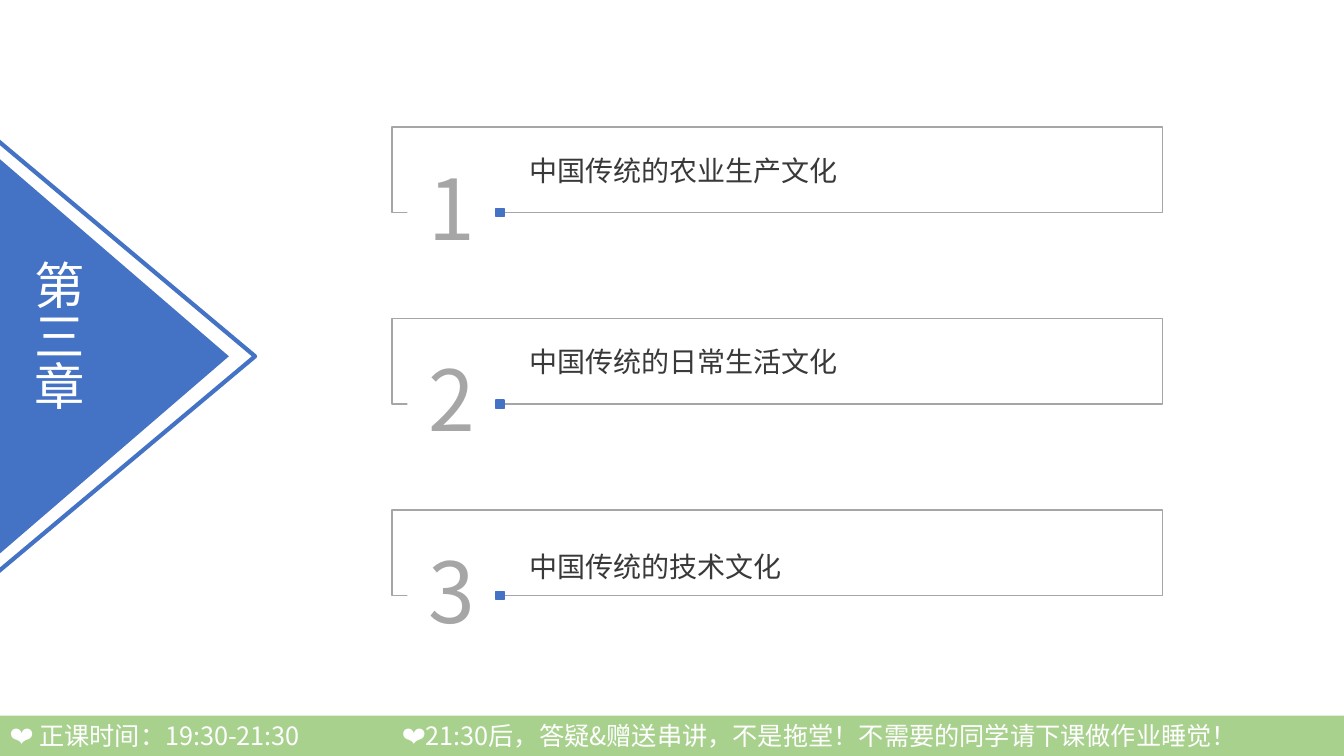
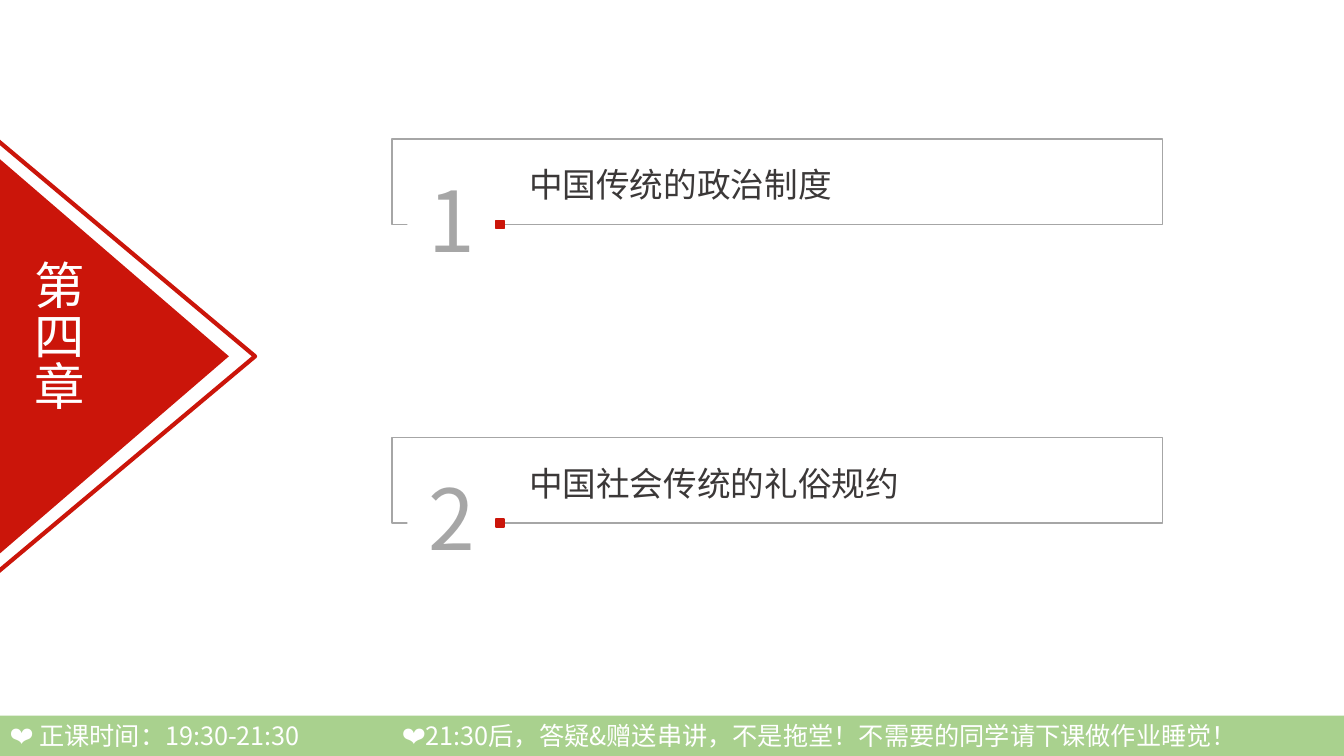
from lxml import etree
from pptx import Presentation
from pptx.dml.color import RGBColor
from pptx.enum import shapes, text
from pptx.oxml import ns
from pptx.util import Inches, Pt

BLUE, RED = "4472C4", "CB150A"
BAND, GREY, INK, WHITE = "A9D18E", "A6A6A6", "3B3838", "FFFFFF"
BODY_FONT, BAND_FONT = "Noto Sans CJK SC", "Noto Sans CJK JP"
SLIDE_WIDTH, SLIDE_HEIGHT, BAND_HEIGHT = 13.33, 7.5, 0.4
ROW_LEFT, ROW_WIDTH, ROW_HEIGHT = 3.89, 7.64, 0.85

CHAPTERS = [
    dict(title="第三章", colour=BLUE, first_top=1.26, pitch=1.9, size=20,
         headings=[("中国传统的农业生产文化", 0), ("中国传统的日常生活文化", 0),
                   ("中国传统的技术文化", 0.13)]),
    dict(title="第四章", colour=RED, first_top=1.38, pitch=2.96, size=24,
         headings=[("中国传统的政治制度", 0), ("中国社会传统的礼俗规约", 0)]),
]


def rgb(colour):
    return RGBColor.from_string(colour)


def add_box(parent, kind, box, fill=None, line=None, weight=1):
    shape = parent.shapes.add_shape(kind, *map(Inches, box))
    shape.shadow.inherit = False
    if fill:
        shape.fill.solid()
        shape.fill.fore_color.rgb = rgb(fill)
    else:
        shape.fill.background()
    if line:
        shape.line.color.rgb = rgb(line)
        shape.line.width = Pt(weight)
    else:
        shape.line.fill.background()
    return shape


def write(shape, words, size, colour, align, anchor, font=BODY_FONT, wrap=True):
    frame = shape.text_frame
    frame.text = words
    frame.word_wrap = wrap
    frame.auto_size = text.MSO_AUTO_SIZE.NONE
    frame.vertical_anchor = anchor
    para = frame.paragraphs[0]
    para.alignment = align
    para.font.size = Pt(size)
    para.font.color.rgb = rgb(colour)
    para.font.name = font
    defaults = para._p.pPr.find(ns.qn("a:defRPr"))
    etree.SubElement(defaults, ns.qn("a:ea"), typeface=font)
    return para


def add_band(layout, page):
    box = (0, SLIDE_HEIGHT - BAND_HEIGHT, SLIDE_WIDTH, BAND_HEIGHT)
    band = add_box(page, shapes.MSO_SHAPE.RECTANGLE, box, BAND)
    para = write(band, "❤ 正课时间：19:30-21:30\t❤21:30后，答疑&赠送串讲，不是拖堂！不需要的同学请下课做作业睡觉！",
                 18, WHITE, text.PP_ALIGN.LEFT, text.MSO_ANCHOR.MIDDLE, BAND_FONT)
    stops = etree.Element(ns.qn("a:tabLst"))
    etree.SubElement(stops, ns.qn("a:tab"), pos=str(Inches(3.89)), algn="l")
    para._p.pPr.find(ns.qn("a:defRPr")).addprevious(stops)
    band.element.nvSpPr.cNvPr.set("id", "20")
    layout.shapes.element.append(band.element)


def add_pointer(page, left, middle, width, height, **style):
    box = (left + (width - height) / 2, middle - width / 2, height, width)
    triangle = add_box(page, shapes.MSO_SHAPE.ISOSCELES_TRIANGLE, box, **style)
    triangle.rotation = 90


def add_chapter_mark(page, words, colour, middle=3.535):
    add_pointer(page, 0, middle, 2.27, 3.91, fill=colour)
    title = page.shapes.title
    title.left, title.top = Inches(0.17), Inches(middle - 1)
    title.width, title.height = Inches(0.81), Inches(1.7)
    write(title, words, 36, WHITE, text.PP_ALIGN.CENTER, text.MSO_ANCHOR.MIDDLE)
    title.text_frame._txBody.bodyPr.set("vert", "eaVert")
    page.shapes.element.append(title.element)
    add_pointer(page, -0.04, middle, 2.57, 4.31, line=colour, weight=3)


def add_row(page, left, top, number, heading, drop, size, colour):
    rectangle = shapes.MSO_SHAPE.RECTANGLE
    group = page.shapes.add_group_shape()
    add_box(group, rectangle, (left, top, ROW_WIDTH, ROW_HEIGHT), line=GREY)
    digit = add_box(group, rectangle, (left + 0.15, top + 0.18, 0.88, 1.11), WHITE)
    write(digit, str(number), 60, GREY, text.PP_ALIGN.CENTER, text.MSO_ANCHOR.BOTTOM)
    digit.text_frame.margin_top = digit.text_frame.margin_bottom = 0
    add_box(group, rectangle, (left + 1.03, top + ROW_HEIGHT - 0.04, 0.08, 0.08),
            colour, colour)
    box = (left + 1.26, top + 0.2 + drop, 4, 0.2 + size / 80)
    label = page.shapes.add_textbox(*map(Inches, box))
    write(label, heading, size, INK, text.PP_ALIGN.LEFT, text.MSO_ANCHOR.MIDDLE)


def add_chapter(page, title, colour, first_top, pitch, size, headings):
    for index, (heading, drop) in enumerate(headings):
        add_row(page, ROW_LEFT, first_top + index * pitch, index + 1,
                heading, drop, size, colour)
    add_chapter_mark(page, title, colour)


def main():
    deck = Presentation()
    deck.slide_width, deck.slide_height = Inches(SLIDE_WIDTH), Inches(SLIDE_HEIGHT)
    layout = deck.slide_layouts.get_by_name("Title Only")
    pages = [deck.slides.add_slide(layout) for _ in CHAPTERS]
    add_band(layout, pages[0])
    for page, chapter in zip(pages, CHAPTERS):
        add_chapter(page, **chapter)
    deck.save("out.pptx")


if __name__ == "__main__":
    main()
